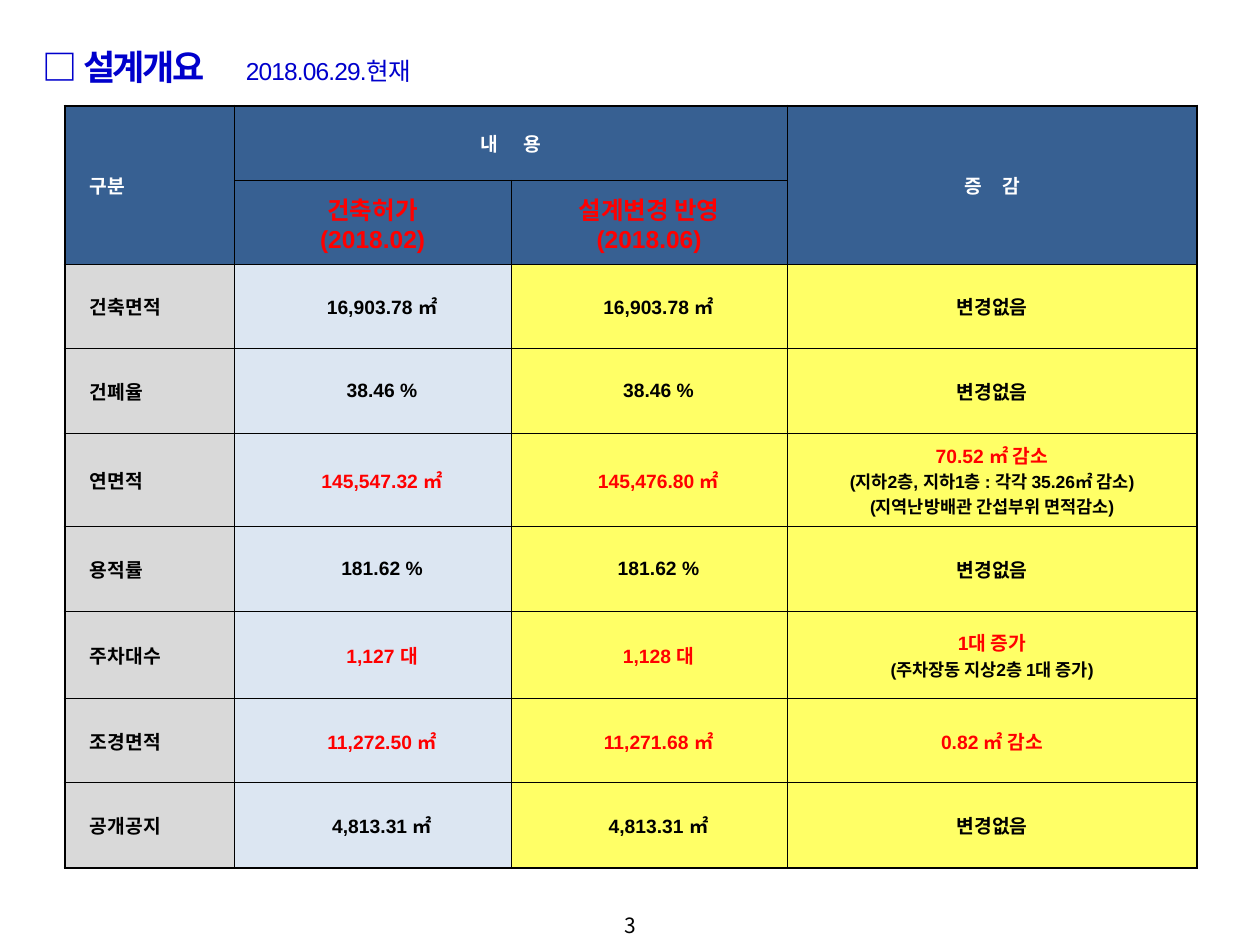
from pptx import Presentation
from pptx.dml.color import RGBColor
from pptx.enum.text import MSO_ANCHOR, PP_ALIGN
from pptx.oxml import parse_xml
from pptx.oxml.ns import nsdecls
from pptx.util import Pt

MIDDLE = MSO_ANCHOR.MIDDLE
LEFT, CENTER, JUSTIFY = PP_ALIGN.LEFT, PP_ALIGN.CENTER, PP_ALIGN.JUSTIFY

LATIN, KOREAN = "Arial", "Noto Sans CJK KR"
COLORS = {
    "title": "0000CC", "header": "376092", "label": "D9D9D9", "permit": "DCE6F2",
    "revised": "FFFF66", "white": "FFFFFF", "black": "000000", "red": "FF0000",
}
COLUMN_WIDTHS = [97, 158, 158, 234]
ROW_HEIGHTS = [42.5, 48, 48, 48.5, 53.5, 48.5, 49.5, 48.5, 48.5]
LABEL_MARGINS = (14.4, 0.7, 14.4, 0.7)
HEADER_MARGINS = (3.6, 0.7, 3.6, 0.7)
VALUE_MARGINS = (14.4, 0.7, 3.6, 0.7)
CHANGE_MARGINS = (7.2, 3.6, 7.2, 3.6)
UNCHANGED = "변경없음"
ITEMS = [
    ("건축면적", "16,903.78 ㎡", "16,903.78 ㎡", [UNCHANGED]),
    ("건폐율", "38.46 %", "38.46 %", [UNCHANGED]),
    ("연면적", "145,547.32 ㎡", "145,476.80 ㎡",
     ["70.52 ㎡ 감소", "(지하2층, 지하1층 : 각각 35.26㎡ 감소)", "(지역난방배관 간섭부위 면적감소)"]),
    ("용적률", "181.62 %", "181.62 %", [UNCHANGED]),
    ("주차대수", "1,127 대", "1,128 대", ["1대 증가", "(주차장동 지상2층 1대 증가)"]),
    ("조경면적", "11,272.50 ㎡", "11,271.68 ㎡", ["0.82 ㎡ 감소"]),
    ("공개공지", "4,813.31 ㎡", "4,813.31 ㎡", [UNCHANGED]),
]


def set_font(font, properties, size, color, bold=False, latin=LATIN):
    """Style a font and give it the Korean typeface for East Asian text."""
    font.size, font.bold, font.name = Pt(size), bold, latin
    font.color.rgb = RGBColor.from_string(COLORS[color])
    properties.append(parse_xml(f'<a:ea {nsdecls("a")} typeface="{KOREAN}"/>'))


def style_paragraph(paragraph, align, size, color, bold=False, latin=LATIN):
    """Align a paragraph and style all of its text."""
    paragraph.alignment = align
    properties = paragraph._p.get_or_add_pPr().get_or_add_defRPr()
    set_font(paragraph.font, properties, size, color, bold, latin)


def add_spaced_run(paragraph, text, spacing):
    """Add a run with the given letter spacing in points."""
    run = paragraph.add_run()
    run.text = text
    run._r.get_or_add_rPr().set("spc", str(int(spacing * 100)))
    return run


def add_text_frame(slide, left, top, width, height, wrap=True):
    """Add a text box without insets and return its frame."""
    frame = slide.shapes.add_textbox(Pt(left), Pt(top), Pt(width), Pt(height)).text_frame
    frame.margin_left = frame.margin_top = frame.margin_right = frame.margin_bottom = 0
    frame.vertical_anchor, frame.word_wrap = MIDDLE, wrap
    return frame


def add_title(slide):
    """Add the heading with the reference date at a tab stop."""
    heading = add_text_frame(slide, 24.5, 26, 658, 24.5).paragraphs[0]
    heading.alignment = LEFT
    properties = heading._p.get_or_add_pPr()
    properties.set("marL", str(Pt(8)))
    properties.set("indent", str(-Pt(8)))
    properties.append(parse_xml(
        f'<a:tabLst {nsdecls("a")}><a:tab pos="{Pt(460)}" algn="l"/></a:tabLst>'))
    for text, size, bold, latin, spacing in [
        ("□ ", 20, True, KOREAN, -1.5),
        ("설계개요", 20, True, LATIN, -1.5),
        ("\t2018.06.29.현재", 14, False, LATIN, -0.5),
    ]:
        run = add_spaced_run(heading, text, spacing)
        set_font(run.font, run._r.get_or_add_rPr(), size, "title", bold, latin)


def set_borders(cell, edges):
    """Draw the cell borders, thicker on the outer edges of the table."""
    for side in "LRTB":
        width = 1.5 if side in edges else 0.5
        cell._tc.get_or_add_tcPr().append(parse_xml(
            f'<a:ln{side} {nsdecls("a")} w="{Pt(width)}"><a:solidFill>'
            f'<a:srgbClr val="{COLORS["black"]}"/></a:solidFill></a:ln{side}>'))


def fill_cell(cell, lines, fill, margins, align=CENTER):
    """Fill a cell with lines given as (text, size, color)."""
    cell.fill.solid()
    cell.fill.fore_color.rgb = RGBColor.from_string(COLORS[fill])
    cell.vertical_anchor = MIDDLE
    cell.margin_left, cell.margin_top, cell.margin_right, cell.margin_bottom = map(Pt, margins)
    frame = cell.text_frame
    frame.text = "\n".join(text for text, _, _ in lines)
    for paragraph, (_, size, color) in zip(frame.paragraphs, lines):
        style_paragraph(paragraph, align, size, color, bold=True)


def fill_spread_header(cell, first, last, gap):
    """Fill a header cell with two syllables set wide apart."""
    fill_cell(cell, [("", 11, "white")], "header", HEADER_MARGINS)
    paragraph = cell.text_frame.paragraphs[0]
    add_spaced_run(paragraph, first + " ", gap / 2)
    add_spaced_run(paragraph, last, 0)


def fill_headers(table):
    """Merge and fill the two header rows."""
    table.cell(0, 0).merge(table.cell(1, 0))
    table.cell(0, 1).merge(table.cell(0, 2))
    table.cell(0, 3).merge(table.cell(1, 3))
    fill_cell(table.cell(0, 0), [("구분", 11, "white")], "header", LABEL_MARGINS, JUSTIFY)
    fill_spread_header(table.cell(0, 1), "내", "용", 12)
    fill_spread_header(table.cell(0, 3), "증", "감", 9)
    for column, stage in enumerate([("건축허가", "(2018.02)"), ("설계변경 반영", "(2018.06)")], 1):
        fill_cell(table.cell(1, column), [(text, 14, "red") for text in stage],
                  "header", HEADER_MARGINS)


def fill_item(table, row, item):
    """Fill one row, with its values in red where the design changed."""
    label, permit, revised, change = item
    value_color = "black" if change == [UNCHANGED] else "red"
    change_lines = [(change[0], 11, value_color)] + [(note, 10, "black") for note in change[1:]]
    fill_cell(table.cell(row, 0), [(label, 11, "black")], "label", LABEL_MARGINS, JUSTIFY)
    fill_cell(table.cell(row, 1), [(permit, 11, value_color)], "permit", VALUE_MARGINS)
    fill_cell(table.cell(row, 2), [(revised, 11, value_color)], "revised", VALUE_MARGINS)
    fill_cell(table.cell(row, 3), change_lines, "revised", CHANGE_MARGINS)


def add_overview_table(slide):
    """Add the table comparing the permit with the revised design."""
    row_count, column_count = len(ROW_HEIGHTS), len(COLUMN_WIDTHS)
    table = slide.shapes.add_table(
        row_count, column_count, Pt(37), Pt(60.5),
        Pt(sum(COLUMN_WIDTHS)), Pt(sum(ROW_HEIGHTS))).table
    table.first_row = table.horz_banding = False
    for column, width in zip(table.columns, COLUMN_WIDTHS):
        column.width = Pt(width)
    for row, height in zip(table.rows, ROW_HEIGHTS):
        row.height = Pt(height)
    for row in range(row_count):
        for column in range(column_count):
            outer = {"T": row == 0, "B": row == row_count - 1,
                     "L": column == 0, "R": column == column_count - 1}
            set_borders(table.cell(row, column), [side for side in outer if outer[side]])
    fill_headers(table)
    for row, item in enumerate(ITEMS, 2):
        fill_item(table, row, item)


def add_page_number(slide):
    """Add the page number at the foot of the slide."""
    number = add_text_frame(slide, 352, 521.5, 16, 14.5, wrap=False).paragraphs[0]
    number.text = "3"
    style_paragraph(number, CENTER, 12, "black", latin=KOREAN)


def main():
    """Build and save the design overview slide."""
    deck = Presentation()
    deck.slide_width, deck.slide_height = Pt(720), Pt(540)
    slide = deck.slides.add_slide(deck.slide_layouts[6])
    add_title(slide)
    add_overview_table(slide)
    add_page_number(slide)
    deck.save("out.pptx")


if __name__ == "__main__":
    main()
